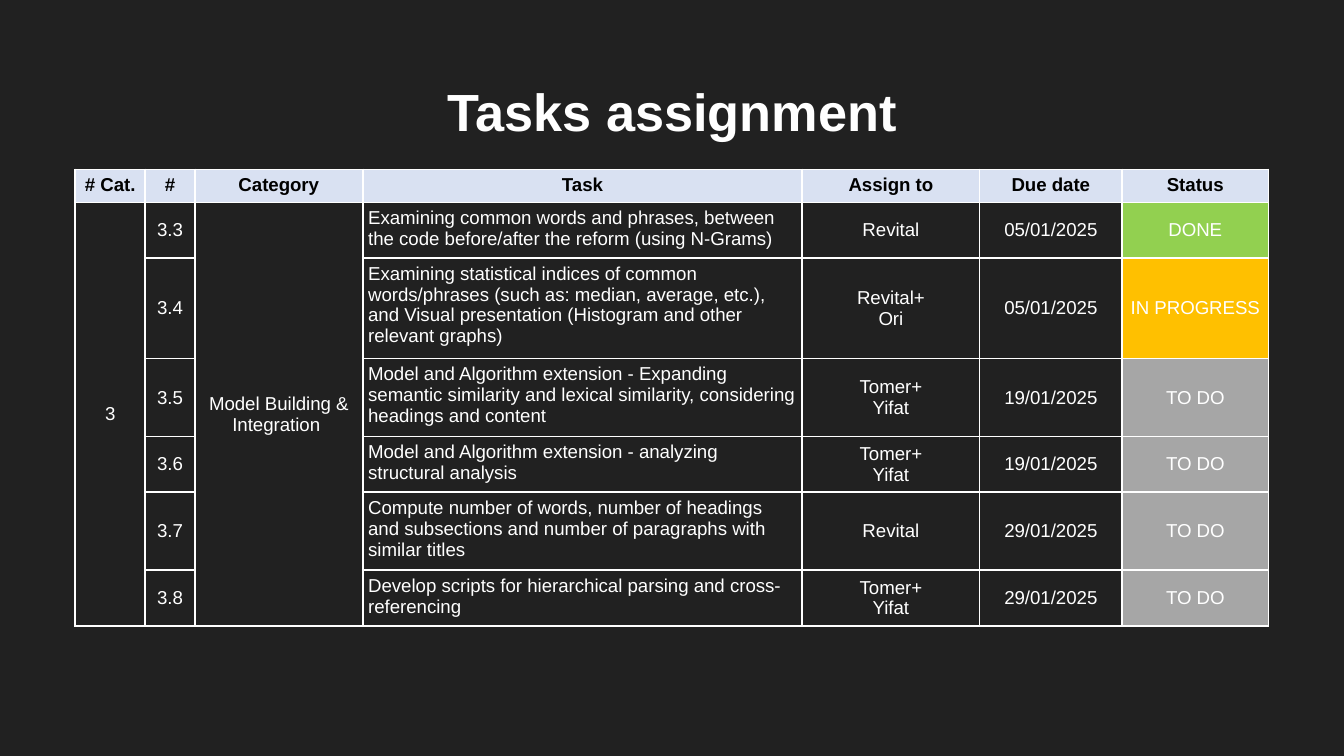
from dataclasses import dataclass

from lxml import etree
from pptx import Presentation
from pptx.dml.color import RGBColor
from pptx.enum.text import MSO_ANCHOR, PP_ALIGN
from pptx.oxml.ns import qn
from pptx.util import Inches, Pt

LEFT, CENTER = PP_ALIGN.LEFT, PP_ALIGN.CENTER
TOP, MIDDLE = MSO_ANCHOR.TOP, MSO_ANCHOR.MIDDLE


@dataclass(frozen=True)
class Theme:
    """Colours, font and type sizes of the slide."""
    back: str = "212121"
    light: str = "FFFFFF"
    dark: str = "000000"
    head: str = "D9E1F2"
    font: str = "Arial"
    title: int = 28
    body: int = 10
    line: int = 1


THEME = Theme()
STATUS = {"DONE": "92D050", "IN PROGRESS": "FFC000", "TO DO": "A6A6A6"}
HEADS = ["# Cat.", "#", "Category", "Task", "Assign to", "Due date", "Status"]
WIDTHS = [0.52, 0.37, 1.25, 3.27, 1.32, 1.06, 1.09]
HEIGHTS = [0, 0.14, 0.21, 0.21, 0.14, 0.14, 0.14]
GROUP = {0: "3", 2: "Model Building & Integration "}
TASK = HEADS.index("Task")
TASKS = [
    ("3.3", "Examining common words and phrases, between the code "
     "before/after the reform (using N-Grams)",
     "Revital", "05/01/2025", "DONE"),
    ("3.4", "Examining statistical indices of common words/phrases (such as: "
     "median, average, etc.), and Visual presentation (Histogram and other "
     "relevant graphs)",
     "Revital+\nOri", "05/01/2025", "IN PROGRESS"),
    ("3.5", "Model and Algorithm extension - Expanding semantic similarity "
     "and lexical similarity, considering headings and content",
     "Tomer+\nYifat", "19/01/2025", "TO DO"),
    ("3.6", "Model and Algorithm extension - analyzing structural analysis",
     "Tomer+\nYifat", "19/01/2025", "TO DO"),
    ("3.7", "Compute number of words, number of headings and subsections and "
     "number of paragraphs with similar titles",
     "Revital", "29/01/2025", "TO DO"),
    ("3.8", "Develop scripts for hierarchical parsing and cross-referencing",
     "Tomer+\nYifat", "29/01/2025", "TO DO"),
]


def write(frame, text, size=THEME.body, color=THEME.light, bold=False,
          align=CENTER):
    """Write one formatted paragraph into a text frame."""
    para = frame.paragraphs[0]
    para.text = text
    para.alignment = align
    for run in para.runs:
        font = run.font
        font.name, font.size, font.bold = THEME.font, Pt(size), bold
        font.color.rgb = RGBColor.from_string(color)
    for gap in para._p.findall(qn("a:br")):
        etree.SubElement(gap, qn("a:rPr"), sz=str(size * 100))


def style(cell, fill=None):
    """Give a cell its margins, borders and fill."""
    cell.margin_left = cell.margin_right = Inches(0.04)
    cell.margin_top = cell.margin_bottom = Inches(0.04)
    props = cell._tc.get_or_add_tcPr()
    for side in ("a:lnL", "a:lnR", "a:lnT", "a:lnB"):
        edge = etree.SubElement(props, qn(side), w=str(Pt(THEME.line)))
        solid = etree.SubElement(edge, qn("a:solidFill"))
        etree.SubElement(solid, qn("a:srgbClr"), val=THEME.light)
    if fill:
        cell.fill.solid()
        cell.fill.fore_color.rgb = RGBColor.from_string(fill)
    else:
        cell.fill.background()


def add_title(slide, left, top, width, height):
    """Place the slide title in its box."""
    box = slide.shapes.add_textbox(
        Inches(left), Inches(top), Inches(width), Inches(height))
    frame = box.text_frame
    frame.word_wrap = True
    frame.margin_left = frame.margin_right = Inches(0.1)
    frame.margin_top = frame.margin_bottom = Inches(0.1)
    write(frame, "Tasks assignment", size=THEME.title, bold=True)


def add_tasks(slide, left, top, width, height):
    """Place the task table, whose rows grow to fit their text, in its box."""
    shape = slide.shapes.add_table(
        len(HEIGHTS), len(WIDTHS), Inches(left), Inches(top),
        Inches(width), Inches(height))
    table = shape.table
    table.horz_banding = table.first_row = False
    for col, size in zip(table.columns, WIDTHS):
        col.width = Inches(size)
    for row, size in zip(table.rows, HEIGHTS):
        row.height = Inches(size)
    shape.height = Inches(height)
    for col, text in enumerate(HEADS):
        cell = table.cell(0, col)
        style(cell, THEME.head)
        write(cell.text_frame, text, color=THEME.dark, bold=True)
    free = [col for col in range(len(HEADS)) if col not in GROUP]
    for row, task in enumerate(TASKS, 1):
        for col in GROUP:
            style(table.cell(row, col))
        for col, text in zip(free, task):
            cell = table.cell(row, col)
            style(cell, STATUS.get(text))
            cell.vertical_anchor = TOP if col == TASK else MIDDLE
            write(cell.text_frame, text, align=LEFT if col == TASK else CENTER)
    for col, text in GROUP.items():
        cell = table.cell(1, col)
        cell.merge(table.cell(len(TASKS), col))
        cell.vertical_anchor = MIDDLE
        write(cell.text_frame, text)


def main():
    """Build the slide and save it."""
    deck = Presentation()
    deck.slide_width = Inches(10)
    deck.slide_height = deck.slide_width * 9 // 16
    slide = deck.slides.add_slide(deck.slide_layouts[6])
    back = slide.background.fill
    back.solid()
    back.fore_color.rgb = RGBColor.from_string(THEME.back)
    add_title(slide, 0.34, 0.49, 9.32, 0.63)
    add_tasks(slide, 0.56, 1.26, 8.88, 3.38)
    deck.save("out.pptx")


if __name__ == "__main__":
    main()
